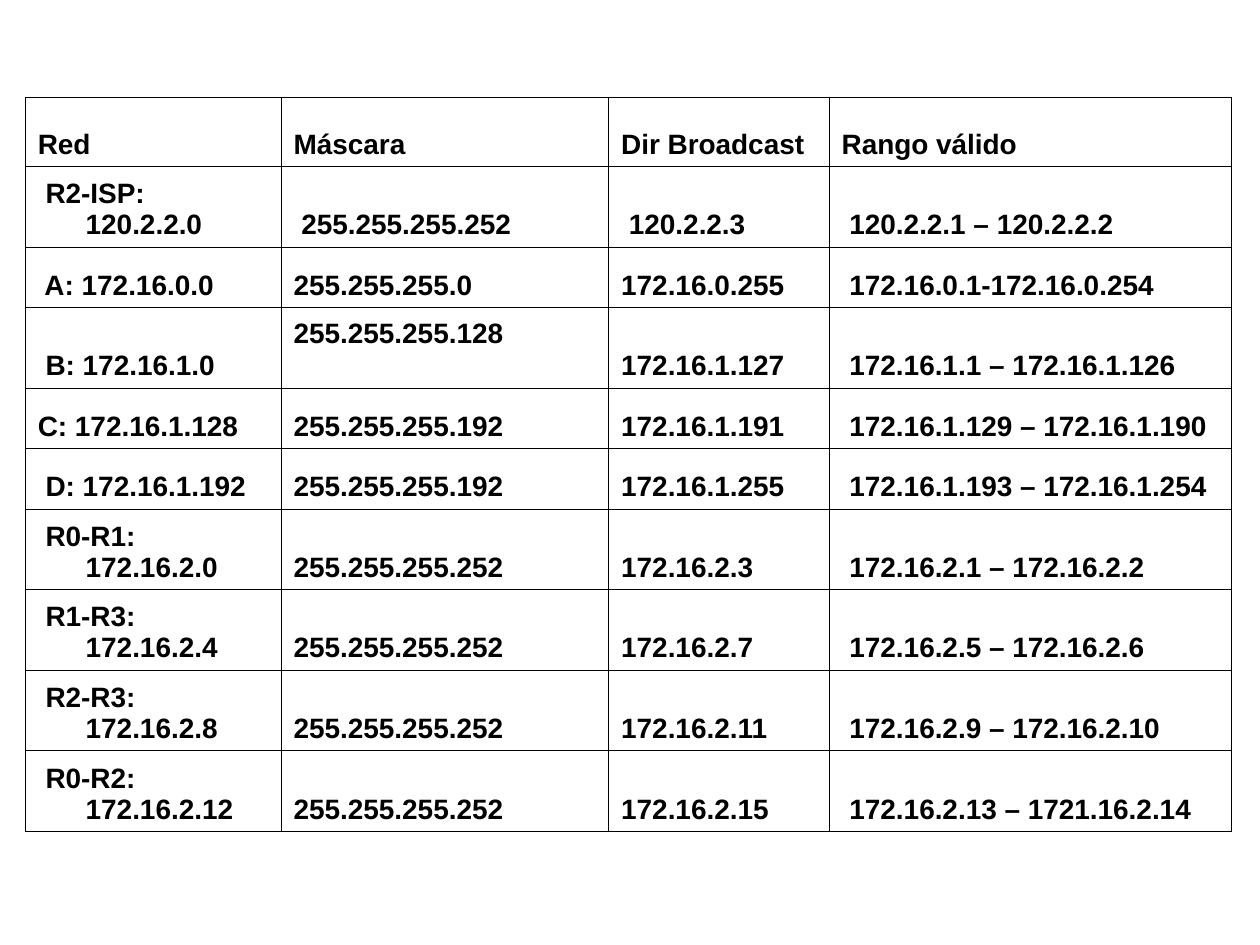
import pptx
import pptx.dml.color
import pptx.enum.text
import pptx.oxml
import pptx.oxml.ns
import pptx.util
from dataclasses import dataclass

Inches = pptx.util.Inches
Anchor = pptx.enum.text.MSO_ANCHOR


@dataclass(frozen=True)
class Theme:
    font: str = "Arial"
    size: int = 16
    ink: str = "000000"
    border_width: float = 0.45


THEME = Theme()

NETWORKS = [
    ("Red", "Máscara", "Dir Broadcast", "Rango válido"),
    (" R2-ISP: 120.2.2.0", " 255.255.255.252", " 120.2.2.3", " 120.2.2.1 – 120.2.2.2"),
    (" A: 172.16.0.0", "255.255.255.0", "172.16.0.255", " 172.16.0.1-172.16.0.254"),
    (" B: 172.16.1.0", "255.255.255.128", "172.16.1.127", " 172.16.1.1 – 172.16.1.126"),
    ("C: 172.16.1.128", "255.255.255.192", "172.16.1.191", " 172.16.1.129 – 172.16.1.190"),
    (" D: 172.16.1.192", "255.255.255.192", "172.16.1.255", " 172.16.1.193 – 172.16.1.254"),
    (" R0-R1: 172.16.2.0", "255.255.255.252", "172.16.2.3", " 172.16.2.1 – 172.16.2.2"),
    (" R1-R3: 172.16.2.4", "255.255.255.252", "172.16.2.7", " 172.16.2.5 – 172.16.2.6"),
    (" R2-R3: 172.16.2.8", "255.255.255.252", "172.16.2.11", " 172.16.2.9 – 172.16.2.10"),
    (" R0-R2: 172.16.2.12", "255.255.255.252", "172.16.2.15", " 172.16.2.13 – 1721.16.2.14"),
]
COLUMN_WIDTHS = [2.03, 2.6, 1.75, 3.19]
HEADER_HEIGHT, SINGLE_HEIGHT, DOUBLE_HEIGHT = 0.55, 0.48, 0.64
SINGLE_ROWS = {2, 4, 5}
RAISED_CELL = (3, 1)
LEFT, TOP = 0.2, 0.77


def row_height(row):
    if row == 0:
        return HEADER_HEIGHT
    return SINGLE_HEIGHT if row in SINGLE_ROWS else DOUBLE_HEIGHT


def write_text(text, *, cell, anchor=Anchor.BOTTOM, top=0.05, indent=0.38):
    cell.vertical_anchor = anchor
    cell.margin_left = cell.margin_right = Inches(0.1)
    cell.margin_top, cell.margin_bottom = Inches(top), Inches(0.05)
    para = cell.text_frame.paragraphs[0]
    properties = para._p.get_or_add_pPr()
    properties.set("marL", str(Inches(indent)))
    properties.set("indent", str(-Inches(indent)))
    span = para.add_run()
    span.text = text
    span.font.name = THEME.font
    span.font.size = pptx.util.Pt(THEME.size)
    span.font.bold = True
    span.font.color.rgb = pptx.dml.color.RGBColor.from_string(THEME.ink)


def draw_borders(cell):
    properties = cell._tc.get_or_add_tcPr()
    width = pptx.util.Pt(THEME.border_width)
    for side in ("lnL", "lnR", "lnT", "lnB"):
        properties.append(pptx.oxml.parse_xml(
            f'<a:{side} {pptx.oxml.ns.nsdecls("a")} w="{width}"><a:solidFill>'
            f'<a:srgbClr val="{THEME.ink}"/></a:solidFill></a:{side}>'))


def main():
    deck = pptx.Presentation()
    deck.slide_width, deck.slide_height = Inches(10), Inches(7.5)
    page = deck.slides.add_slide(deck.slide_layouts[6])
    heights = [row_height(row) for row in range(len(NETWORKS))]
    table = page.shapes.add_table(
        len(NETWORKS), len(COLUMN_WIDTHS), Inches(LEFT), Inches(TOP),
        Inches(sum(COLUMN_WIDTHS)), Inches(sum(heights))).table
    table.first_row = table.horz_banding = False
    for column, width in zip(table.columns, COLUMN_WIDTHS):
        column.width = Inches(width)
    for row, (texts, height) in enumerate(zip(NETWORKS, heights)):
        table.rows[row].height = Inches(height)
        for column, text in enumerate(texts):
            cell = table.cell(row, column)
            raised = (row, column) == RAISED_CELL
            layout = {"anchor": Anchor.TOP, "top": 0.09} if raised else {}
            write_text(text, cell=cell, **layout)
            draw_borders(cell)
            cell.fill.background()
    deck.save("out.pptx")


if __name__ == "__main__":
    main()
